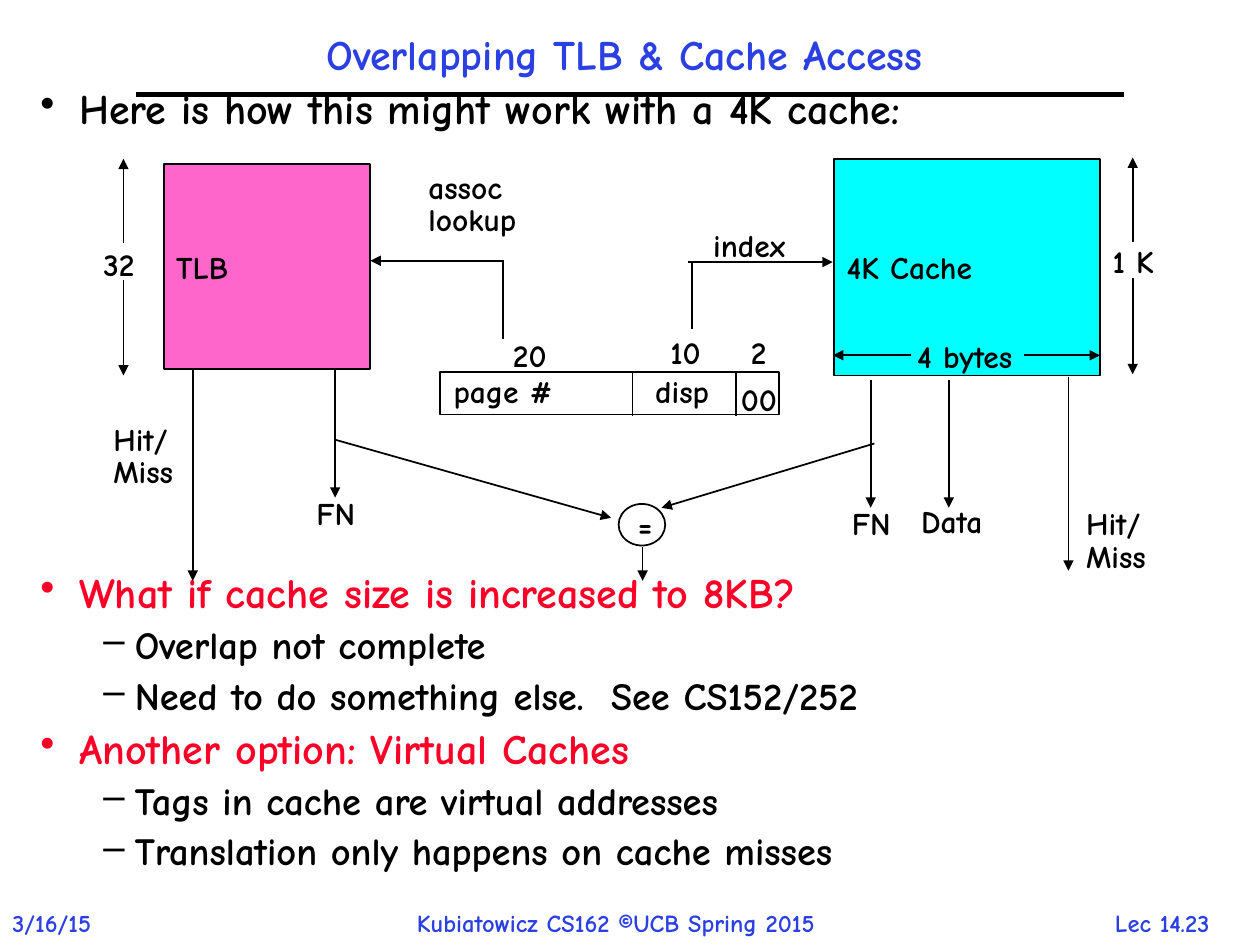
"""Build the slide on overlapping TLB and cache access."""
from lxml.etree import SubElement
from pptx import Presentation
from pptx.dml.color import RGBColor
from pptx.enum.shapes import MSO_CONNECTOR as CONN, MSO_SHAPE as SHAPE
from pptx.enum.text import MSO_ANCHOR as ANCHOR, PP_ALIGN as ALIGN
from pptx.oxml.ns import qn
from pptx.util import Emu, Pt

SCALE = 9144
FONT = "Comic Neue"
COLORS = {"black": "000000", "blue": "2A40E2", "red": "FC0128",
          "pink": "FF66CC", "cyan": "00FFFF"}


def px(n):
    return Emu(n * SCALE)


def rgb(name):
    return RGBColor.from_string(COLORS[name])


def write(p, text, size=18, color="black", align=ALIGN.LEFT, spacing=None,
          before=0, bullet=None, left=0, hang=0):
    p.text = text
    if bullet:
        pPr = p._p.get_or_add_pPr()
        pPr.set("marL", str(px(left)))
        pPr.set("indent", str(-px(hang)))
        SubElement(pPr, qn("a:buChar")).set("char", bullet)
    p.alignment = align
    p.space_before = Pt(before)
    if spacing:
        p.line_spacing = spacing
    for r in p.runs:
        f = r.font
        f.name, f.size, f.bold = FONT, Pt(size), True
        f.color.rgb = rgb(color)


class Deck:
    """Slide with the drawing style."""

    def __init__(self, s):
        self.s = s

    def frame(self, sp, inset=(10, 5), wrap=False, anchor=ANCHOR.TOP):
        tf = sp.text_frame
        tf.margin_left = tf.margin_right = px(inset[0])
        tf.margin_top = tf.margin_bottom = px(inset[1])
        tf.word_wrap, tf.vertical_anchor = wrap, anchor
        return tf

    def title(self, text, x, y, w, h):
        sp = self.s.shapes.title
        sp.left, sp.top, sp.width, sp.height = map(px, (x, y, w, h))
        tf = self.frame(sp, wrap=True, anchor=ANCHOR.MIDDLE)
        write(tf.paragraphs[0], text, size=24, color="blue",
              align=ALIGN.CENTER, spacing=0.9)

    def box(self, x, y, w, h, **kw):
        return self.frame(self.s.shapes.add_textbox(*map(px, (x, y, w, h))), **kw)

    def label(self, text, x, y, w):
        lines = text.split("\n")
        tf = self.box(x, y, w, 5 + 26 * len(lines), inset=(7, 3))
        for i, line in enumerate(lines):
            write(tf.add_paragraph() if i else tf.paragraphs[0], line, spacing=0.85)

    def footer(self, text, x, w, align=ALIGN.LEFT):
        write(self.box(x, 716, w, 34).paragraphs[0], text, size=14,
              color="blue", align=align)

    def bullets(self, items, y, h):
        tf = self.box(25, y, 933, h, inset=(7, 3), wrap=True)
        for i, (level, text, color) in enumerate(items):
            style = (dict(size=22, bullet="–", left=75, hang=25, before=5.1) if level
                     else dict(size=24, bullet="•", left=31, hang=31, before=5.5))
            if not i:
                style["before"] = 0
            write(tf.add_paragraph() if i else tf.paragraphs[0], text,
                  color=color, spacing=0.9, **style)

    def shape(self, kind, x, y, w, h, text="", fill=None):
        sp = self.s.shapes.add_shape(kind, *map(px, (x, y, w, h)))
        sp.shadow.inherit = False
        if fill:
            sp.fill.solid()
            sp.fill.fore_color.rgb = rgb(fill)
        else:
            sp.fill.background()
        sp.line.color.rgb, sp.line.width = rgb("black"), Pt(1)
        if text:
            write(self.frame(sp, anchor=ANCHOR.MIDDLE).paragraphs[0], text)

    def line(self, x1, y1, x2, y2, width=1, arrow=False):
        c = self.s.shapes.add_connector(CONN.STRAIGHT, *map(px, (x1, y1, x2, y2)))
        c.line.color.rgb, c.line.width = rgb("black"), Pt(width)
        if arrow:
            SubElement(c.line._get_or_add_ln(), qn("a:tailEnd")).set("type", "triangle")
        SubElement(c._element.spPr, qn("a:effectLst"))


LABELS = [
    ("10", 525, 266, 44), ("2", 589, 266, 29), ("20", 400, 268, 45),
    ("page #", 353, 297, 100), ("disp", 513, 297, 61), ("00", 581, 303, 44),
    ("4 bytes", 721, 269, 107), ("index", 559, 181, 77), ("1 K", 876, 194, 55),
    ("assoc\nlookup", 333, 135, 87), ("32", 75, 196, 44),
    ("Hit/\nMiss", 83, 335, 67), ("Hit/\nMiss", 855, 402, 67),
    ("FN", 244, 394, 49), ("FN", 669, 402, 49), ("Data", 724, 400, 72),
]
LINES = [(584, 295, 584, 330), (502, 295, 502, 330),
         (399, 208, 399, 269), (549, 208, 549, 261)]
ARROWS = [
    (813, 282, 873, 282), (723, 282, 661, 282),
    (546, 208, 661, 208), (400, 207, 294, 207),
    (899, 192, 899, 125), (899, 221, 899, 297),
    (98, 193, 98, 126), (98, 222, 98, 298),
    (153, 294, 153, 461), (266, 294, 266, 395),
    (691, 302, 691, 403), (753, 302, 753, 403), (848, 299, 848, 453),
    (694, 352, 525, 403), (266, 349, 485, 411), (510, 434, 510, 461),
]
QUESTIONS = [
    (0, "What if cache size is increased to 8KB?", "red"),
    (1, "Overlap not complete", "black"),
    (1, "Need to do something else.  See CS152/252", "black"),
    (0, "Another option: Virtual Caches", "red"),
    (1, "Tags in cache are virtual addresses", "black"),
    (1, "Translation only happens on cache misses", "black"),
]


def main():
    prs = Presentation()
    prs.slide_width, prs.slide_height = px(1000), px(750)
    d = Deck(prs.slides.add_slide(prs.slide_layouts[5]))
    d.title("Overlapping TLB & Cache Access", 108, 25, 775, 40)
    d.line(108, 75, 892, 75, width=3)
    d.footer("3/16/15", 0, 100)
    d.footer("Kubiatowicz CS162 ©UCB Spring 2015", 321, 387)
    d.footer("Lec 14.23", 856, 133, align=ALIGN.CENTER)
    d.bullets([(0, "Here is how this might work with a 4K cache:", "black")], 67, 41)
    d.bullets(QUESTIONS, 451, 258)
    d.shape(SHAPE.RECTANGLE, 130, 130, 164, 163, "TLB", "pink")
    d.shape(SHAPE.RECTANGLE, 662, 126, 211, 172, "4K Cache", "cyan")
    d.shape(SHAPE.RECTANGLE, 349, 295, 269, 34)
    d.shape(SHAPE.OVAL, 491, 400, 37, 33, "=")
    for line in LINES:
        d.line(*line)
    for arrow in ARROWS:
        d.line(*arrow, arrow=True)
    for label in LABELS:
        d.label(*label)
    prs.save("out.pptx")


if __name__ == "__main__":
    main()
